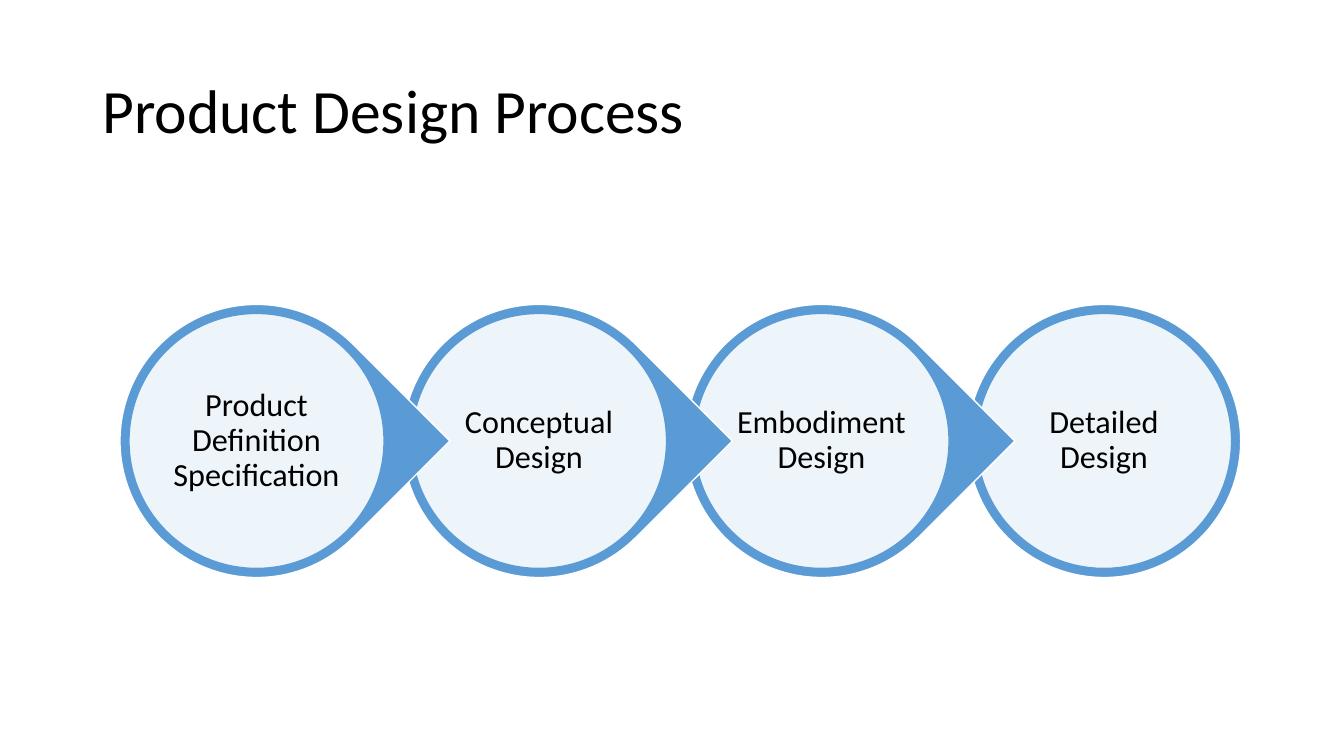
from typing import NamedTuple

from lxml.etree import SubElement
from pptx import Presentation
from pptx.dml.color import RGBColor
from pptx.enum.shapes import MSO_SHAPE as Kind
from pptx.enum.text import MSO_ANCHOR as Anchor, MSO_AUTO_SIZE as Fit, PP_ALIGN as Align
from pptx.oxml.ns import qn
from pptx.shapes.autoshape import Shape
from pptx.shapes.shapetree import GroupShapes
from pptx.slide import Slide
from pptx.text.text import TextFrame
from pptx.util import Inches, Pt

WIDE, HIGH = Inches(13.33), Inches(7.5)
COL, ROW = WIDE / 100, HIGH / 100

BLUE = RGBColor(0x5B, 0x9B, 0xD5)
WHITE = RGBColor(0xFF, 0xFF, 0xFF)
BLACK = RGBColor(0x00, 0x00, 0x00)

FIRST, PITCH = 19.09, 21.02
MIDDLE = 58.33
RING, DISC, LABEL = 20.33, 18.98, 13.58


class Step(NamedTuple):
    name: str
    kind: Kind = Kind.TEAR
    turn: int = 45


STEPS = [
    Step("Product Definition Specification"),
    Step("Conceptual Design"),
    Step("Embodiment Design"),
    Step("Detailed Design", Kind.OVAL, 0),
]


def square(col: float, side: float) -> tuple[int, int, int, int]:
    size = round(side * COL)
    return round(col * COL - size / 2), round(MIDDLE * ROW - size / 2), size, size


def style(frame: TextFrame, text: str, size: int, align: Align) -> None:
    frame.text = text
    frame.word_wrap = True
    frame.auto_size = Fit.NONE
    frame.vertical_anchor = Anchor.MIDDLE
    line = frame.paragraphs[0]
    line.alignment = align
    line.line_spacing = 0.9
    font = line.runs[0].font
    font.name, font.size = "Calibri", Pt(size)
    font.color.rgb = BLACK


def draw(shapes: GroupShapes, kind: Kind, col: float, side: float,
         fill: RGBColor, edge: RGBColor) -> Shape:
    shape = shapes.add_shape(kind, *square(col, side))
    shape.shadow.inherit = False
    shape.fill.solid()
    shape.fill.fore_color.rgb = fill
    shape.line.color.rgb = edge
    shape.line.width = Pt(1)
    return shape


def add_step(shapes: GroupShapes, step: Step, col: float) -> None:
    ring = draw(shapes, step.kind, col, RING, BLUE, WHITE)
    ring.rotation = step.turn
    disc = draw(shapes, Kind.OVAL, col, DISC, WHITE, BLUE)
    tint = disc.fill._xPr.find(qn("a:solidFill"))[0]
    SubElement(tint, qn("a:alpha"), val="90000")
    frame = shapes.add_textbox(*square(col, LABEL)).text_frame
    frame.margin_left = frame.margin_right = Inches(0.03)
    frame.margin_top = frame.margin_bottom = Inches(0.03)
    style(frame, step.name, 23, Align.CENTER)


def add_title(slide: Slide, text: str) -> None:
    title = slide.shapes.title
    title.left, title.top = round(6.88 * COL), round(5.33 * ROW)
    title.width, title.height = round(86.25 * COL), round(19.33 * ROW)
    style(title.text_frame, text, 44, Align.LEFT)


def main() -> None:
    deck = Presentation()
    deck.slide_width, deck.slide_height = WIDE, HIGH
    slide = deck.slides.add_slide(deck.slide_layouts[5])
    add_title(slide, "Product Design Process")
    group = slide.shapes.add_group_shape()
    for rank, step in reversed(list(enumerate(STEPS))):
        add_step(group.shapes, step, FIRST + rank * PITCH)
    deck.save("out.pptx")


if __name__ == "__main__":
    main()
